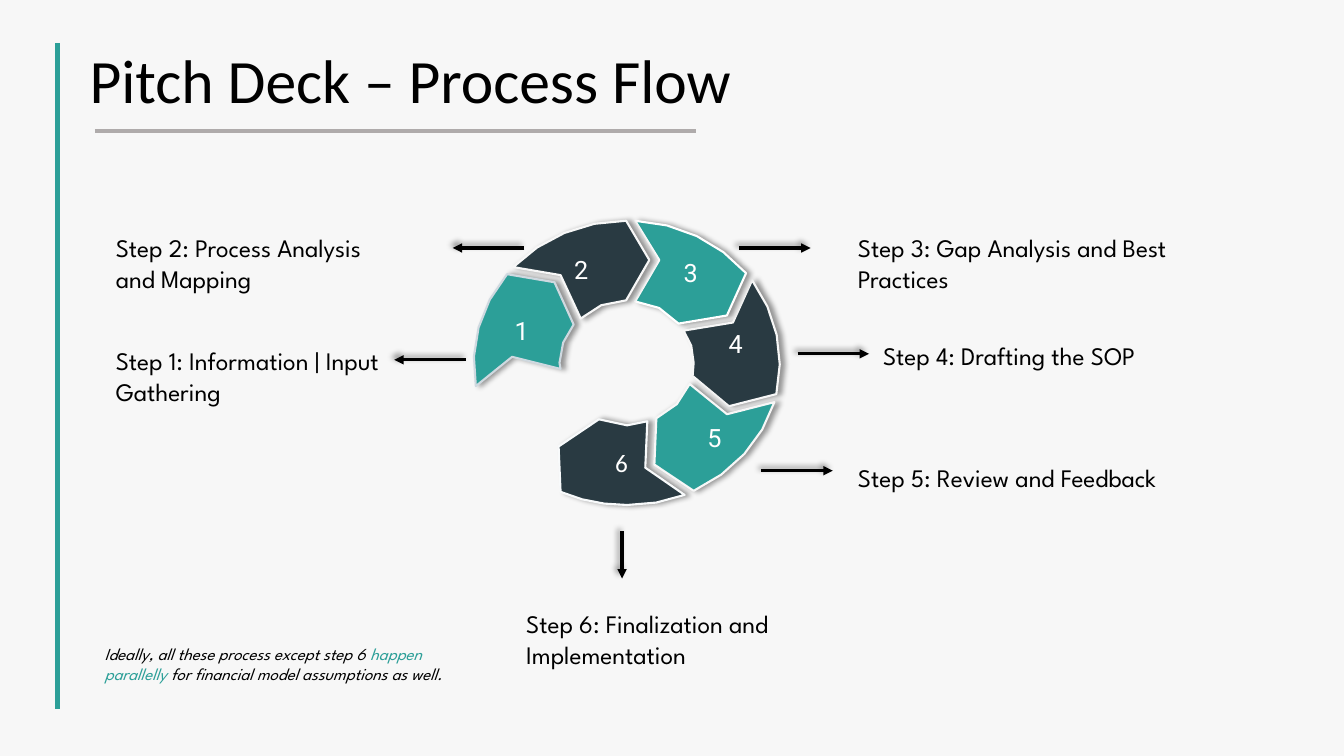
from dataclasses import dataclass
from math import ceil, dist

from lxml.etree import SubElement
from pptx import Presentation
from pptx.dml.color import RGBColor
from pptx.enum.shapes import MSO_CONNECTOR
from pptx.enum.text import MSO_ANCHOR, MSO_AUTO_SIZE, PP_ALIGN
from pptx.oxml.ns import qn
from pptx.util import Inches, Pt


@dataclass(frozen=True)
class Theme:
    paper: str = "F7F7F7"
    teal: str = "2C9F98"
    navy: str = "293A42"
    grey: str = "AFABAB"
    ink: str = "000000"
    white: str = "FFFFFF"
    frost: str = "F8FAFB"
    mist: str = "CFD9E0"
    title_font: str = "Calibri"
    body_font: str = "League Spartan"
    number_font: str = "Roboto"
    title_size: int = 44
    body_size: int = 18
    note_size: int = 12


THEME = Theme()

# Outlines in inches from the ring centre: pairs are corners, sixes are Bézier curves.
# Each entry: number, fill, edge, font, sideways shift of the number, outline.
SEGMENTS = [
    ("4", THEME.navy, THEME.paper, THEME.number_font, .04,
     [(1.24, -.82), (1.05, -.4), (.56, -.32), (.63, -.23, .66, -.12, .66, 0),
      (.66, .04, .66, .09, .65, .13), (1.01, .43), (1.48, .31),
      (1.57, -.08, 1.48, -.49, 1.24, -.82)]),
    ("3", THEME.teal, THEME.white, THEME.number_font, 0,
     [(.08, -1.41), (.32, -1.02), (.08, -.61), (.25, -.6, .4, -.52, .51, -.39),
      (.99, -.47), (1.18, -.89), (.91, -1.2, .51, -1.39, .08, -1.41)]),
    ("6", THEME.navy, THEME.frost, THEME.title_font, 0,
     [(-.28, .56), (-.68, .83), (-.66, 1.28), (-.45, 1.37, -.23, 1.41, 0, 1.41),
      (.19, 1.41, .39, 1.38, .57, 1.31), (.18, 1.04), (.2, .58),
      (.14, .61, .07, .62, 0, .62), (-.1, .62, -.2, .6, -.28, .56)]),
    ("5", THEME.teal, THEME.paper, THEME.number_font, 0,
     [(.62, .21), (.56, .36, .45, .48, .29, .55), (.27, 1.01), (.66, 1.27),
      (1.05, 1.09, 1.34, .77, 1.46, .39), (.99, .51)]),
    ("1", THEME.teal, THEME.mist, THEME.number_font, -.02,
     [(-1.19, -.88), (-1.46, -.56, -1.57, -.16, -1.5, .23), (-1.14, -.06),
      (-.66, .06), (-.66, .04, -.67, .02, -.67, 0),
      (-.67, -.14, -.62, -.27, -.53, -.38), (-.72, -.8)]),
    ("2", THEME.navy, THEME.paper, THEME.number_font, 0,
     [(-.01, -1.41), (-.44, -1.41, -.84, -1.24, -1.13, -.95), (-.66, -.87),
      (-.46, -.44), (-.35, -.55, -.18, -.62, -.01, -.62), (.22, -1.02)]),
]

# Label text, label box, arrow start and arrow run, all relative to the ring centre.
STEPS = [
    ("Step 1: Information | Input Gathering", (-5.17, -.22, 3.08, .71), (-1.6, -.03), (-.71, 0)),
    ("Step 2: Process Analysis and Mapping", (-5.17, -1.34, 3.08, .71), (-1.02, -1.14), (-.71, 0)),
    ("Step 3: Gap Analysis and Best Practices", (2.19, -1.34, 4.03, .71), (1.11, -1.14), (.71, 0)),
    ("Step 4: Drafting the SOP", (2.44, -.27, 4.7, .4), (1.69, -.09), (.71, 0)),
    ("Step 5: Review and Feedback", (2.19, .94, 3.71, .4), (1.33, 1.07), (.71, 0)),
    ("Step 6: Finalization and Implementation", (-1.1, 2.39, 2.92, .71), (-.05, 1.67), (0, .47)),
]


def add_shadow(effects, degrees):
    shadow = SubElement(effects, qn("a:outerShdw"), blurRad=str(Pt(4)), dist=str(Pt(3)),
                        dir=str(degrees * 60000), algn="ctr", rotWithShape="0")
    black = SubElement(shadow, qn("a:srgbClr"), val=THEME.ink)
    SubElement(black, qn("a:alpha"), val="40000")


def write(frame, runs, font=THEME.body_font, size=THEME.body_size, italic=False,
          align=PP_ALIGN.LEFT, spacing=None, inset=None, shift=0):
    """Fill a text frame with one paragraph of (text, colour) runs."""
    frame.word_wrap = True
    if inset is not None:
        frame.margin_left, frame.margin_right = Inches(inset + shift), Inches(inset - shift)
        frame.margin_top = frame.margin_bottom = Inches(inset)
    paragraph = frame.paragraphs[0]
    paragraph.alignment = align
    if spacing:
        paragraph.line_spacing = spacing
    for text, colour in runs:
        run = paragraph.add_run()
        run.text = text
        run.font.name, run.font.size, run.font.italic = font, Pt(size), italic
        run.font.color.rgb = RGBColor.from_string(colour)


def add_label(slide, box, runs, **text_format):
    frame = slide.shapes.add_textbox(*map(Inches, box)).text_frame
    write(frame, runs, **text_format)
    frame.auto_size = MSO_AUTO_SIZE.SHAPE_TO_FIT_TEXT


def add_rule(slide, start, end, colour, width, arrow=False):
    """Draw a straight line; arrows also get a head and a shadow."""
    rule = slide.shapes.add_connector(MSO_CONNECTOR.STRAIGHT, *map(Inches, (*start, *end)))
    rule.line.color.rgb = RGBColor.from_string(colour)
    rule.line.width = Pt(width)
    properties = rule._element.spPr
    effects = SubElement(properties, qn("a:effectLst"))
    if arrow:
        SubElement(properties.find(qn("a:ln")), qn("a:tailEnd"), type="triangle")
        add_shadow(effects, 225)


def flatten(outline, chord=.32):
    """Turn corners and cubic curves into points, about one per chord length."""
    points = []
    for part in outline:
        if len(part) == 2:
            points.append(part)
            continue
        x0, y0 = points[-1]
        x1, y1, x2, y2, x3, y3 = part
        steps = ceil(dist((x0, y0), (x3, y3)) / chord)
        for t in (i / steps for i in range(1, steps + 1)):
            a, b, c, d = (1 - t) ** 3, 3 * t * (1 - t) ** 2, 3 * t * t * (1 - t), t ** 3
            points.append((a * x0 + b * x1 + c * x2 + d * x3,
                           a * y0 + b * y1 + c * y2 + d * y3))
    return points


def add_segment(slide, centre, number, fill, edge, font, shift, outline):
    cx, cy = centre
    points = [(Inches(cx + x), Inches(cy + y)) for x, y in flatten(outline)]
    builder = slide.shapes.build_freeform(*points[0])
    builder.add_line_segments(points[1:], close=True)
    segment = builder.convert_to_shape()
    segment.fill.solid()
    segment.fill.fore_color.rgb = RGBColor.from_string(fill)
    segment.line.color.rgb = RGBColor.from_string(edge)
    segment.line.width = Pt(1.5)
    segment.shadow.inherit = False
    add_shadow(segment._element.spPr.find(qn("a:effectLst")), 0)
    segment.text_frame.vertical_anchor = MSO_ANCHOR.MIDDLE
    write(segment.text_frame, [(number, THEME.white)], font=font,
          align=PP_ALIGN.CENTER, inset=.1, shift=shift)


def add_header(slide, box):
    left, top, width, height = box
    add_rule(slide, (left - .22, top + .03), (left - .22, top + 6.63), THEME.teal, 3.25)
    title = slide.shapes.add_textbox(*map(Inches, box))
    write(title.text_frame, [("Pitch Deck – Process Flow", THEME.ink)],
          font=THEME.title_font, size=THEME.title_size, spacing=.9, inset=.1)
    add_rule(slide, (left + .15, top + .9), (left + 6.11, top + .9), THEME.grey, 3)


def add_process_ring(slide, box):
    left, top, width, height = box
    cx, cy = left + width / 2, top + height / 2
    for segment in SEGMENTS:
        add_segment(slide, (cx, cy), *segment)
    for text, (x, y, w, h), (start_x, start_y), (run_x, run_y) in STEPS:
        start = (cx + start_x, cy + start_y)
        add_rule(slide, start, (start[0] + run_x, start[1] + run_y), THEME.ink, 2.25, arrow=True)
        add_label(slide, (cx + x, cy + y, w, h), [(text, THEME.ink)])


def add_footnote(slide, box):
    add_label(slide, box, [("Ideally, all these process except step 6 ", THEME.ink),
                           ("happen parallelly", THEME.teal),
                           (" for financial model assumptions as well.", THEME.ink)],
              size=THEME.note_size, italic=True)


def main():
    deck = Presentation()
    deck.slide_width, deck.slide_height = Inches(13.33), Inches(7.5)
    slide = deck.slides.add_slide(deck.slide_layouts[6])
    slide.background.fill.solid()
    slide.background.fill.fore_color.rgb = RGBColor.from_string(THEME.paper)
    add_header(slide, (.79, .4, 9.73, 1.01))
    add_process_ring(slide, (4.65, 2.19, 3.14, 2.82))
    add_footnote(slide, (.94, 6.34, 3.89, .71))
    deck.save("out.pptx")


if __name__ == "__main__":
    main()
